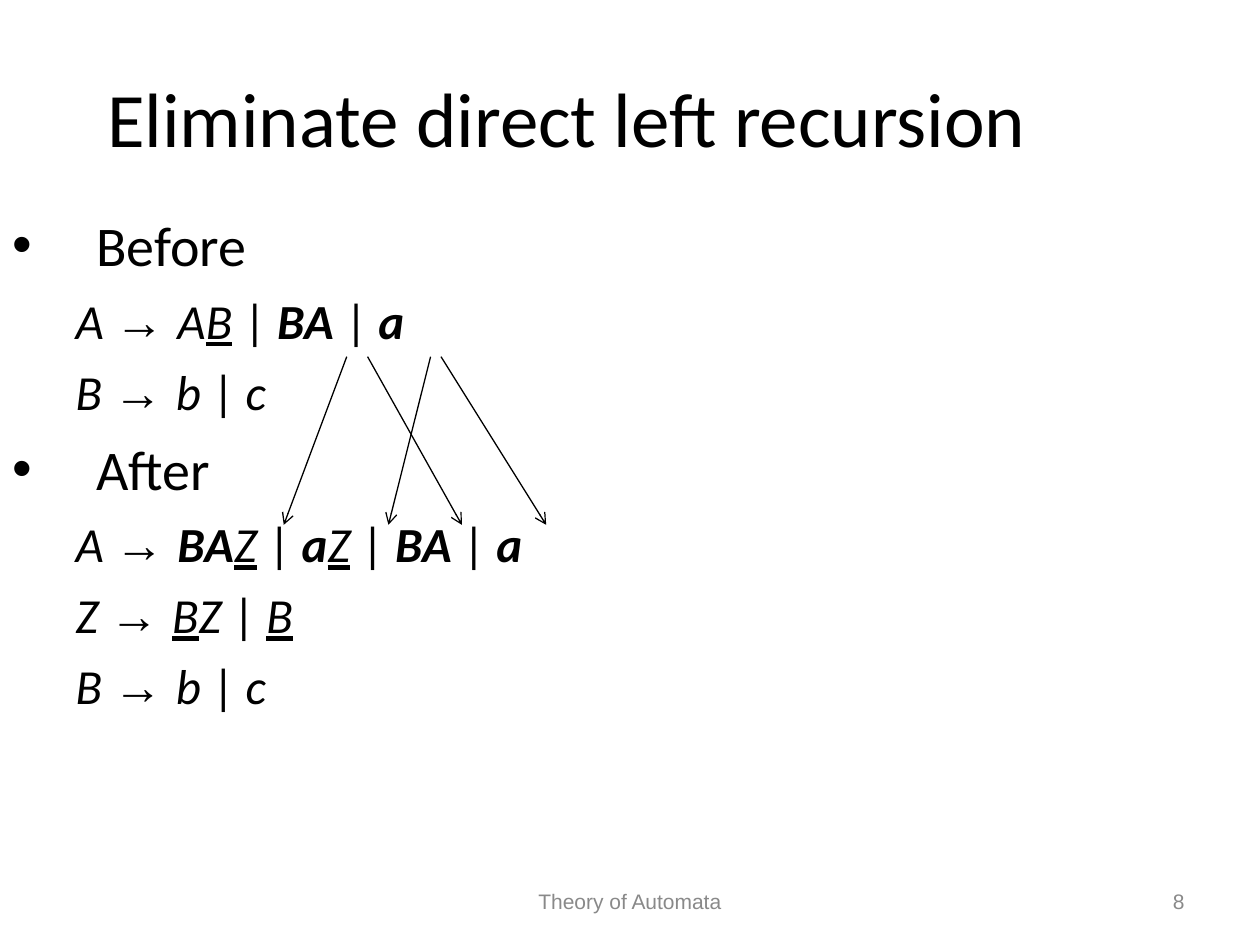
from lxml import etree
from pptx import Presentation, util as u
from pptx.dml.color import RGBColor
from pptx.enum import shapes, text
from pptx.oxml import ns

BLACK = RGBColor(0x00, 0x00, 0x00)
GREY = RGBColor(0x89, 0x89, 0x89)

# Each span is its words and its style: b bold, i italic, u underlined, s symbol font
ARROW = ("→ ", "s")
BAR = ("| ", "")
SPACE = (" ", "i")
B_RULE = [("B ", "i"), ARROW, ("b ", "i"), BAR, ("c", "i")]
GRAMMARS = {
    "Before": [
        [("A ", "i"), ARROW, ("A", "i"), ("B", "iu"), SPACE, BAR,
         ("BA ", "bi"), BAR, ("a", "bi")],
        B_RULE,
    ],
    "After": [
        [("A ", "i"), ARROW, ("BA", "bi"), ("Z", "iu"), SPACE, BAR,
         ("a", "bi"), ("Z", "iu"), SPACE, BAR, ("BA ", "bi"), BAR, ("a", "bi")],
        [("Z ", "i"), ARROW, ("B", "iu"), ("Z ", "i"), BAR, ("B", "iu")],
        B_RULE,
    ],
}

# Horizontal start and end of each arrow, in cm from the left of the body
ARROW_SPANS = [(6.99, 5.72), (8.68, 7.83), (7.41, 9.31), (8.89, 11.01)]
ARROW_TOP, ARROW_BOTTOM = 3.07, 6.46


def place(shape, left, top, width, height):
    shape.left, shape.top = u.Cm(left), u.Cm(top)
    shape.width, shape.height = u.Cm(width), u.Cm(height)


def style_font(font, name, size, colour):
    font.name, font.size = name, u.Pt(size)
    font.color.rgb = colour


def add_title(page, words, box):
    title = page.shapes.title
    place(title, *box)
    frame = title.text_frame
    frame.text = words
    frame.auto_size = text.MSO_AUTO_SIZE.NONE
    frame.vertical_anchor = text.MSO_ANCHOR.MIDDLE
    para = frame.paragraphs[0]
    para.alignment = text.PP_ALIGN.CENTER
    style_font(para.runs[0].font, "Calibri", 44, BLACK)


def format_paragraph(para, margin, indent, before, bullet=None):
    para.space_before = u.Pt(before)
    properties = para._p.get_or_add_pPr()
    properties.set("marL", str(u.Cm(margin)))
    properties.set("indent", str(u.Cm(indent)))
    if bullet:
        etree.SubElement(properties, ns.qn("a:buChar")).set("char", bullet)
    else:
        etree.SubElement(properties, ns.qn("a:buNone"))


def add_rule(frame, spans):
    para = frame.add_paragraph()
    para.level = 1
    format_paragraph(para, 2.75, -1.48, 7)
    for words, style in spans:
        span = para.add_run()
        span.text = words
        style_font(span.font, "Arial" if "s" in style else "Calibri", 28, BLACK)
        span.font.bold = "b" in style
        span.font.italic = "i" in style
        span.font.underline = "u" in style


def add_grammars(page, box):
    body = page.placeholders[1]
    place(body, *box)
    frame = body.text_frame
    frame.auto_size = text.MSO_AUTO_SIZE.NONE
    for number, (heading, rules) in enumerate(GRAMMARS.items()):
        para = frame.add_paragraph() if number else frame.paragraphs[0]
        para.text = heading
        format_paragraph(para, 1.69, -1.69, 8, "•")
        style_font(para.runs[0].font, "Calibri", 32, BLACK)
        for spans in rules:
            add_rule(frame, spans)


def add_arrows(page, box):
    """Link the alternatives before to their places after."""
    left, top = box[:2]
    for start, end in ARROW_SPANS:
        arrow = page.shapes.add_connector(
            shapes.MSO_CONNECTOR.STRAIGHT,
            u.Cm(left + start), u.Cm(top + ARROW_TOP),
            u.Cm(left + end), u.Cm(top + ARROW_BOTTOM))
        arrow.line.color.rgb = BLACK
        arrow.line.width = u.Pt(0.75)
        line = arrow.line._get_or_add_ln()
        etree.SubElement(line, ns.qn("a:tailEnd")).set("type", "arrow")
        etree.SubElement(arrow._element.spPr, ns.qn("a:effectLst"))


def add_footer(page, words, box, alignment):
    footer = page.shapes.add_textbox(*(u.Cm(length) for length in box))
    frame = footer.text_frame
    frame.word_wrap = True
    frame.vertical_anchor = text.MSO_ANCHOR.MIDDLE
    frame.text = words
    para = frame.paragraphs[0]
    para.alignment = alignment
    style_font(para.runs[0].font, "Arial", 12, GREY)


def main():
    deck = Presentation()
    deck.slide_width, deck.slide_height = u.Cm(25.4), u.Cm(19.05)
    page = deck.slides.add_slide(deck.slide_layouts[1])
    body_box = (0, 4.12, 22.86, 12.57)
    add_footer(page, "Theory of Automata", (8.68, 17.66, 8.04, 1.01),
               text.PP_ALIGN.CENTER)
    add_footer(page, "8", (18.2, 17.66, 5.93, 1.01), text.PP_ALIGN.RIGHT)
    add_title(page, "Eliminate direct left recursion", (0, 0.76, 22.86, 3.18))
    add_grammars(page, body_box)
    add_arrows(page, body_box)
    deck.save("out.pptx")


if __name__ == "__main__":
    main()
